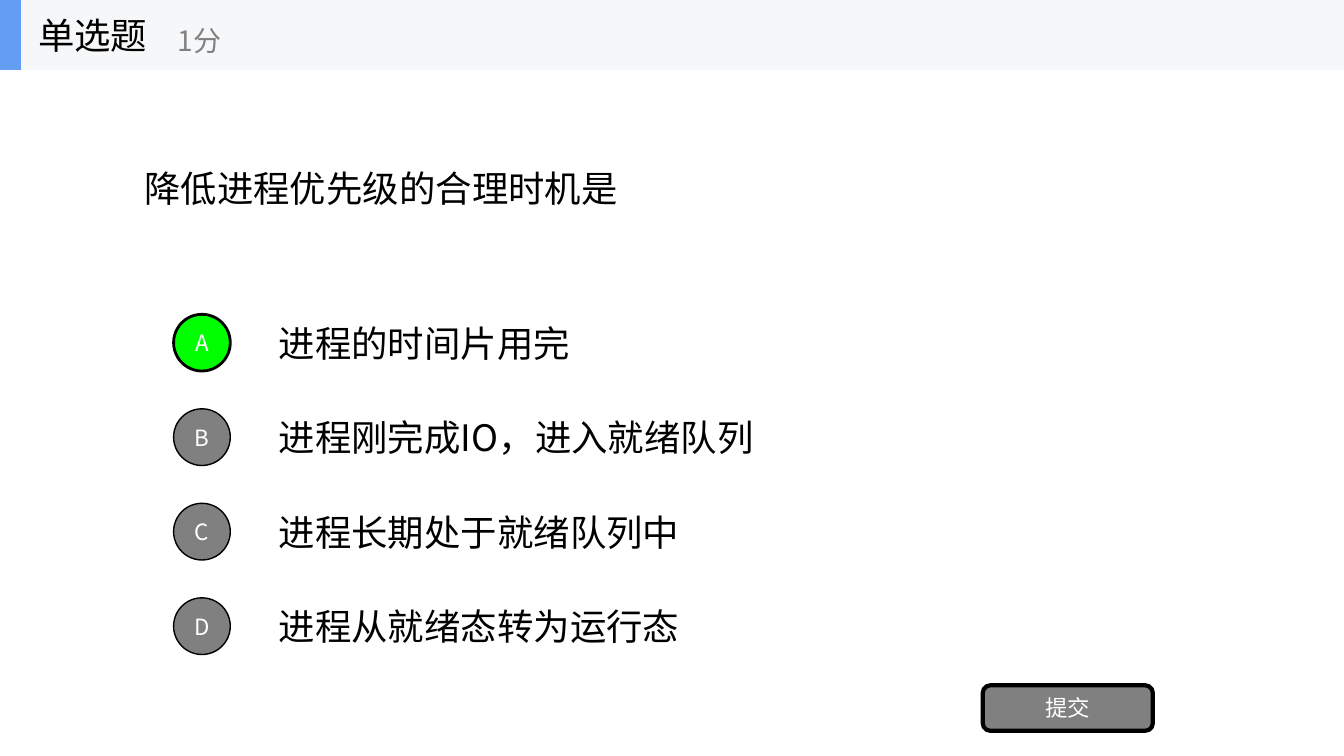
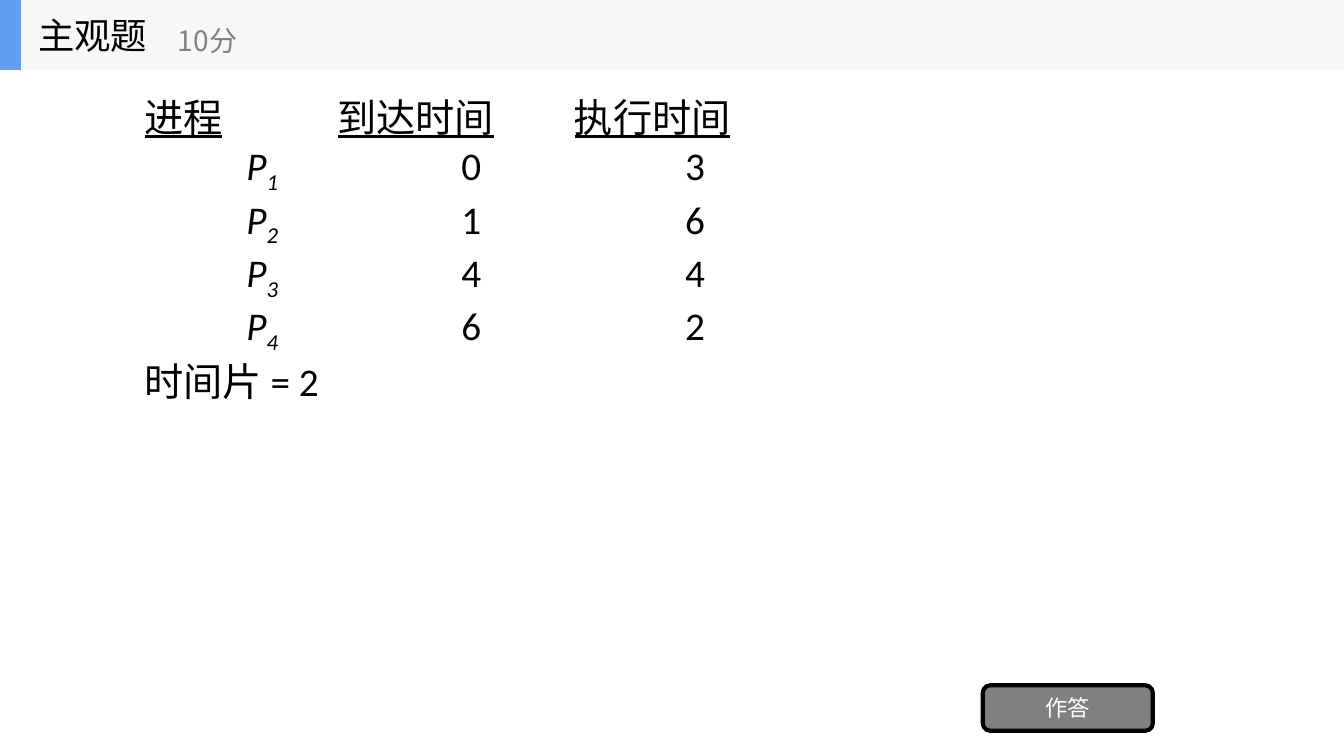
from lxml import etree
from pptx import Presentation
from pptx.dml.color import RGBColor
from pptx.enum.shapes import MSO_SHAPE
from pptx.enum.text import MSO_ANCHOR, MSO_AUTO_SIZE, PP_ALIGN
from pptx.oxml.ns import qn
from pptx.util import Pt

HEX = {"ink": "000000", "paper": "FFFFFF", "gray": "808080",
       "band": "F6F7F8", "blue": "639EF4", "right": "00FF00"}
SANS, LATIN = "Noto Sans CJK SC", "Calibri"
WIDE, HIGH, BAND = 960, 540, 50

QUIZ = {
    "head": "单选题", "score": "1分", "ask": "降低进程优先级的合理时机是", "key": "A",
    "picks": [("A", "进程的时间片用完"), ("B", "进程刚完成IO，进入就绪队列"),
              ("C", "进程长期处于就绪队列中"), ("D", "进程从就绪态转为运行态")],
    "button": "提交",
}
TASK = {
    "head": "主观题", "score": "10分",
    "cols": ["进程", "到达时间", "执行时间"],
    "jobs": [("1", "0", "3"), ("2", "1", "6"), ("3", "4", "4"), ("4", "6", "2")],
    "slice": "时间片 = 2", "button": "作答",
}
COLS = [(138, 73), (169, 88.5), (130, 79.5)]


def color(name):
    return RGBColor.from_string(HEX[name])


def write(para, text, size, tint="ink", face=SANS, line=False, slant=False, sub=False):
    run = para.add_run()
    run.text = text
    font = run.font
    font.size, font.name = Pt(size), face
    font.underline, font.italic, font.bold = line, slant, False
    font.color.rgb = color(tint)
    props = run._r.get_or_add_rPr()
    etree.SubElement(props, qn("a:ea")).set("typeface", face)
    if sub:
        props.set("baseline", "-25000")


def place(shape, box):
    shape.left, shape.top, shape.width, shape.height = [Pt(n) for n in box]


def frame(shape, anchor=MSO_ANCHOR.MIDDLE):
    body = shape.text_frame
    body.word_wrap = True
    body.auto_size = MSO_AUTO_SIZE.NONE
    body.vertical_anchor = anchor
    return body


def label(slide, box, text, size=26, **look):
    shape = slide.shapes.add_textbox(*[Pt(n) for n in box])
    write(frame(shape).paragraphs[0], text, size, **look)


def block(slide, kind, box, fill, edge=0, text=""):
    shape = slide.shapes.add_shape(kind, *[Pt(n) for n in box])
    shape.shadow.inherit = False
    shape.fill.solid()
    shape.fill.fore_color.rgb = color(fill)
    if edge:
        shape.line.color.rgb = color("ink")
        shape.line.width = Pt(edge)
    else:
        shape.line.fill.background()
    if text:
        body = frame(shape)
        body.margin_left = body.margin_right = 0
        body.margin_top = body.margin_bottom = 0
        body.paragraphs[0].alignment = PP_ALIGN.CENTER
        write(body.paragraphs[0], text, 16, "paper")
    return shape


def bands(slide, layout):
    for width, fill in ((WIDE, "band"), (15, "blue")):
        band = block(slide, MSO_SHAPE.RECTANGLE, (0, 0, width, BAND), fill)
        layout.shapes._spTree.append(band._element)


def start(deck, layout, data):
    slide = deck.slides.add_slide(layout)
    title = slide.shapes.title
    place(title, (20, 0, 150, BAND))
    para = frame(title).paragraphs[0]
    para.alignment = PP_ALIGN.LEFT
    write(para, data["head"], 26)
    label(slide, (120, 9, 180, 40), data["score"], 20, tint="gray")
    block(slide, MSO_SHAPE.ROUNDED_RECTANGLE, (702, 489.5, 121.5, 32.5),
          "gray", 3, data["button"])
    return slide


def choose(slide, data):
    label(slide, (96, BAND, 768, 168.5), data["ask"])
    size, tall, step = 40.5, 50.5, 67.5
    for i, (mark, text) in enumerate(data["picks"]):
        top = 219.5 + i * step
        hit = mark == data["key"]
        label(slide, (192, top, 672, tall), text)
        block(slide, MSO_SHAPE.OVAL, (124, top + (tall - size) / 2, size, size),
              "right" if hit else "gray", 2 if hit else 1, mark)


def jobs(slide, data):
    left, top, first, step = 103, 68, 34.5, 38
    rows = [data["cols"]] + data["jobs"]
    width = sum(wide for wide, _ in COLS)
    height = first + step * len(data["jobs"])
    grid = slide.shapes.add_table(len(rows), len(COLS), Pt(left), Pt(top),
                                  Pt(width), Pt(height)).table
    grid.first_row = grid.horz_banding = False
    for c, (wide, _) in enumerate(COLS):
        grid.columns[c].width = Pt(wide)
    for r, row in enumerate(rows):
        grid.rows[r].height = Pt(step if r else first)
        for c, text in enumerate(row):
            cell = grid.cell(r, c)
            cell.fill.background()
            cell.margin_top = cell.margin_bottom = cell.margin_right = 0
            cell.margin_left = Pt(COLS[c][1] if r else 0)
            para = cell.text_frame.paragraphs[0]
            job = r > 0 and c == 0
            if job:
                write(para, "P", 28, face=LATIN, slant=True)
            write(para, text, 28, face=LATIN, line=r == 0, slant=job, sub=job)
    label(slide, (96, 251, 768, 42), data["slice"], 28, face=LATIN)


def main():
    deck = Presentation()
    deck.slide_width, deck.slide_height = Pt(WIDE), Pt(HIGH)
    layout = deck.slide_layouts[5]
    quiz = start(deck, layout, QUIZ)
    bands(quiz, layout)
    choose(quiz, QUIZ)
    jobs(start(deck, layout, TASK), TASK)
    deck.save("out.pptx")


if __name__ == "__main__":
    main()
